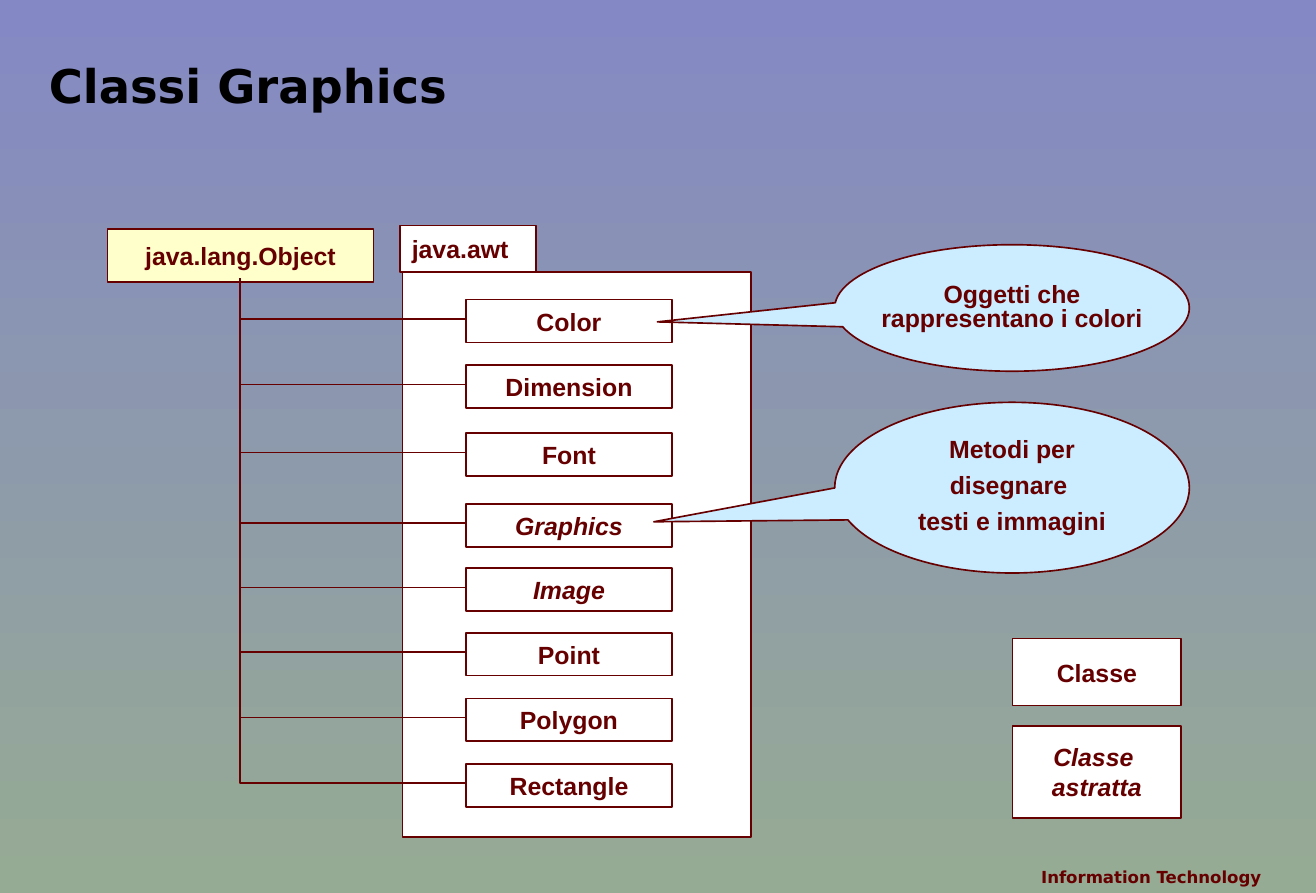
import pptx
import pptx.dml.color
import pptx.enum.shapes
import pptx.enum.text
import pptx.util
from pptx.util import Inches
from lxml import etree

SHAPE = pptx.enum.shapes.MSO_SHAPE
ALIGN = pptx.enum.text.PP_ALIGN
ANCHOR = pptx.enum.text.MSO_ANCHOR
DARK, WHITE, CREAM, SKY = "660000", "FFFFFF", "FFFFCC", "CCECFF"
CLASS_X, CLASS_W, CLASS_H = 3.9, 1.73, 0.36
TRUNK_X, TRUNK_Y = 2.01, 2.33

# Class name, top of its box, abstract or not
CLASSES = [
    ("Color", 2.51, False),
    ("Dimension", 3.06, False),
    ("Font", 3.63, False),
    ("Graphics", 4.22, True),
    ("Image", 4.76, True),
    ("Point", 5.3, False),
    ("Polygon", 5.85, False),
    ("Rectangle", 6.4, False),
]


def rgb(value):
    return pptx.dml.color.RGBColor.from_string(value)


def write(tf, text, size=15, font="Arial", color=DARK, italic=False,
          align=ALIGN.CENTER, spacing=()):
    tf.text = text
    for p in tf.paragraphs:
        p.alignment = align
        for r in p.runs:
            r.font.size = pptx.util.Pt(size)
            r.font.name = font
            r.font.bold = True
            r.font.italic = italic
            r.font.color.rgb = rgb(color)
    for p, lines in zip(tf.paragraphs, spacing):
        p.line_spacing = lines


def add_label(slide, x, y, w, h, text, inset=0, anchor=ANCHOR.TOP, **style):
    tf = slide.shapes.add_textbox(Inches(x), Inches(y), Inches(w), Inches(h)).text_frame
    tf.word_wrap = True
    tf.vertical_anchor = anchor
    tf.margin_left = tf.margin_right = 0
    tf.margin_top = tf.margin_bottom = Inches(inset)
    write(tf, text, font="DejaVu Sans", **style)


def add_box(slide, x, y, w, h, text="", fill=WHITE, kind=SHAPE.RECTANGLE, **style):
    sp = slide.shapes.add_shape(kind, Inches(x), Inches(y), Inches(w), Inches(h))
    sp.shadow.inherit = False
    sp.fill.solid()
    sp.fill.fore_color.rgb = rgb(fill)
    sp.line.color.rgb = rgb(DARK)
    sp.line.width = pptx.util.Pt(1)
    if text:
        tf = sp.text_frame
        tf.word_wrap = False
        tf.vertical_anchor = ANCHOR.MIDDLE
        write(tf, text, **style)
    return sp


def add_callout(slide, y, h, text, tip, spacing):
    sp = add_box(slide, 6.99, y, 2.97, h, text, SKY, SHAPE.OVAL_CALLOUT, spacing=spacing)
    sp.adjustments[0], sp.adjustments[1] = tip


def add_branch(slide, end_y):
    """Elbow going down the trunk and then right to a class box."""
    across, down = CLASS_X - TRUNK_X, end_y - TRUNK_Y
    cx, cy = TRUNK_X + across / 2, TRUNK_Y + down / 2
    # The frame is a quarter turn away from the drawn elbow
    line = slide.shapes.add_connector(
        pptx.enum.shapes.MSO_CONNECTOR.ELBOW,
        Inches(cx + down / 2), Inches(cy - across / 2),
        Inches(cx - down / 2), Inches(cy + across / 2))
    line.line.color.rgb = rgb(DARK)
    line.line.width = pptx.util.Pt(1)
    props = line._element.spPr
    props.find(pptx.oxml.ns.qn("a:xfrm")).set("rot", "16200000")
    props.find(pptx.oxml.ns.qn("a:prstGeom")).set("prst", "bentConnector2")
    etree.SubElement(props, pptx.oxml.ns.qn("a:effectLst"))


def set_background(slide, top, bottom):
    fill = slide.background.fill
    fill.gradient()
    fill.gradient_angle = 270
    for stop, color, position in zip(fill.gradient_stops, (top, bottom), (0, 1)):
        stop.color.rgb = rgb(color)
        stop.position = position


def main():
    prs = pptx.Presentation()
    prs.slide_width, prs.slide_height = Inches(11.02), Inches(7.48)
    slide = prs.slides.add_slide(prs.slide_layouts[6])
    set_background(slide, "8488C4", "96AB94")

    # Footer and title
    add_label(slide, 7.09, 7.21, 3.47, 0.27, "Information Technology", inset=0.05,
              anchor=ANCHOR.BOTTOM, size=10, align=ALIGN.RIGHT)
    add_label(slide, 0.41, 0.55, 10.31, 0.4, "Classi Graphics", size=28,
              color="000000", align=ALIGN.LEFT, spacing=[0.85])

    # Package panel with its tab, and the root class
    add_box(slide, 3.37, 2.28, 2.92, 4.73)
    add_box(slide, 3.35, 1.89, 1.14, 0.39, "java.awt", align=ALIGN.LEFT)
    add_box(slide, 0.9, 1.92, 2.23, 0.44, "java.lang.Object", CREAM)

    # Class tree
    for name, y, abstract in CLASSES:
        add_box(slide, CLASS_X, y, CLASS_W, CLASS_H, name, italic=abstract)
        add_branch(slide, y + CLASS_H / 2 - 0.02)

    # Legend
    add_box(slide, 8.48, 5.35, 1.41, 0.56, "Classe")
    add_box(slide, 8.48, 6.08, 1.41, 0.77, "Classe \nastratta", italic=True)

    # Callouts
    add_callout(slide, 2.05, 1.06, "Oggetti che\vrappresentano i colori",
                (-1.0, 0.11), [0.8])
    add_callout(slide, 3.37, 1.43, "Metodi per\ndisegnare \ntesti e immagini",
                (-1.01, 0.2), [0.8, 1.2, 1.2])

    prs.save("out.pptx")


if __name__ == "__main__":
    main()
